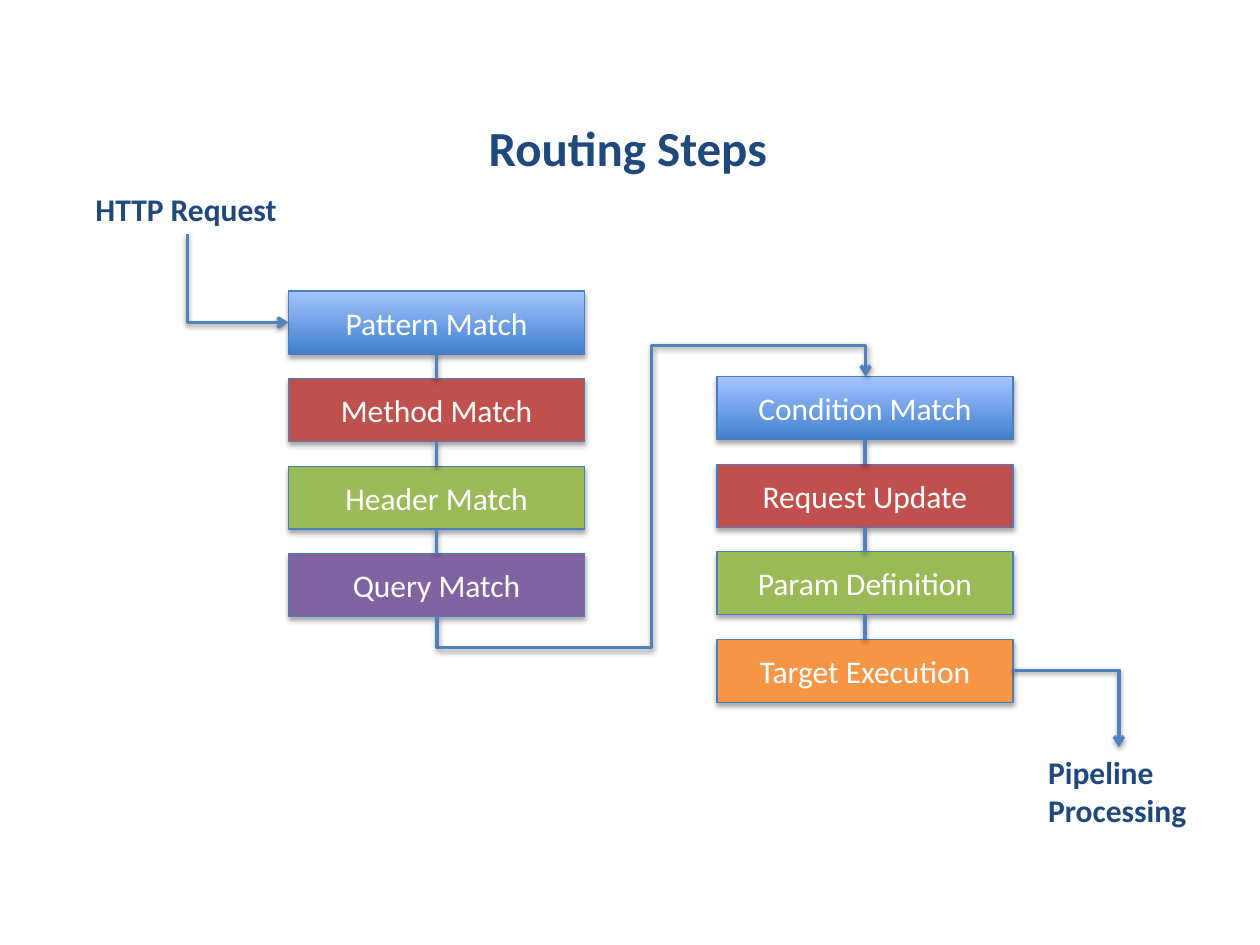
from dataclasses import dataclass

from lxml.etree import SubElement
from pptx import Presentation
from pptx.dml.color import RGBColor
from pptx.enum.shapes import MSO_CONNECTOR, MSO_SHAPE
from pptx.enum.text import MSO_ANCHOR, MSO_AUTO_SIZE, PP_ALIGN
from pptx.oxml.ns import qn
from pptx.util import Inches, Pt

COLORS = {
    "blue_dark": "3F80CE", "blue_light": "A4C4FF", "red": "C0504D",
    "green": "9BBB59", "purple": "8064A2", "orange": "F79646",
    "border": "4B7EBC", "connector": "4F81BD", "heading": "1F497D",
    "white": "FFFFFF", "shadow": "000000",
}
STEP_WIDTH, STEP_HEIGHT, STEP_PITCH = 2.35, 0.5, 0.695
TOP_SITE, BOTTOM_SITE = 0, 2


@dataclass
class Step:
    text: str
    color: str


@dataclass
class Column:
    left: float
    top: float
    steps: list[Step]


@dataclass
class Label:
    text: str
    left: float
    top: float
    width: float
    height: float
    size: int = 18


@dataclass
class Elbow:
    preset: str
    begin: tuple[float, float]
    end: tuple[float, float]
    rotation: int = 0
    adjustments: tuple[int, ...] = ()


COLUMNS = [
    Column(2.29, 2.31, [
        Step("Pattern Match", "gradient"), Step("Method Match", "red"),
        Step("Header Match", "green"), Step("Query Match", "purple"),
    ]),
    Column(5.69, 2.99, [
        Step("Condition Match", "gradient"), Step("Request Update", "red"),
        Step("Param Definition", "green"), Step("Target Execution", "orange"),
    ]),
]
LABELS = [
    Label("Routing Steps", 3.78, 0.88, 2.45, 0.57, 28),
    Label("HTTP Request", 0.66, 1.46, 1.66, 0.4),
    Label("Pipeline \nProcessing", 8.22, 5.93, 1.32, 0.71),
]
ELBOWS = [
    Elbow("bentConnector2", (2.24, 1.81), (1.54, 2.61), 270),
    Elbow("bentConnector5", (6.12, 5.64), (4.22, 2.24), 90, (-13100, 50000, 113100)),
    Elbow("bentConnector2", (8.04, 5.32), (8.88, 5.93)),
]


def rgb(name: str) -> RGBColor:
    return RGBColor.from_string(COLORS[name])


def add_shadow(properties, distance: float, opacity: int) -> None:
    effects = properties.find(qn("a:effectLst"))
    if effects is None:
        effects = SubElement(properties, qn("a:effectLst"))
    shadow = SubElement(effects, qn("a:outerShdw"), {
        "blurRad": str(Pt(3.1)), "dist": str(Pt(distance)),
        "dir": "5400000", "rotWithShape": "0",
    })
    color = SubElement(shadow, qn("a:srgbClr"), val=COLORS["shadow"])
    SubElement(color, qn("a:alpha"), val=str(opacity * 1000))


def write_text(paragraph, text: str, color: str, size: int, bold: bool) -> None:
    paragraph.text = text
    font_format = {"name": "Calibri", "size": Pt(size), "bold": bold}
    for run in paragraph.runs:
        for name, value in font_format.items():
            setattr(run.font, name, value)
        run.font.color.rgb = rgb(color)


def add_step(slide, step: Step, left: float, top: float):
    shape = slide.shapes.add_shape(
        MSO_SHAPE.RECTANGLE, Inches(left), Inches(top),
        Inches(STEP_WIDTH), Inches(STEP_HEIGHT))
    if step.color == "gradient":
        shape.fill.gradient()
        shape.fill.gradient_angle = 90
        for stop, (position, color) in zip(
                shape.fill.gradient_stops, [(0, "blue_dark"), (1, "blue_light")]):
            stop.position = position
            stop.color.rgb = rgb(color)
    else:
        shape.fill.solid()
        shape.fill.fore_color.rgb = rgb(step.color)
    shape.line.color.rgb = rgb("border")
    shape.line.width = Pt(0.75)
    shape.shadow.inherit = False
    add_shadow(shape._element.spPr, 1.8, 35)
    shape.text_frame.vertical_anchor = MSO_ANCHOR.MIDDLE
    paragraph = shape.text_frame.paragraphs[0]
    paragraph.alignment = PP_ALIGN.CENTER
    write_text(paragraph, step.text, "white", 18, False)
    return shape


def add_line(slide, begin: tuple[float, float], end: tuple[float, float]):
    connector = slide.shapes.add_connector(
        MSO_CONNECTOR.STRAIGHT, *(Inches(value) for value in begin + end))
    connector.line.color.rgb = rgb("connector")
    connector.line.width = Pt(2)
    add_shadow(connector._element.spPr, 1.6, 38)
    return connector


def add_elbow(slide, elbow: Elbow) -> None:
    properties = add_line(slide, elbow.begin, elbow.end)._element.spPr
    properties.find(qn("a:xfrm")).set("rot", str(elbow.rotation * 60000))
    geometry = properties.find(qn("a:prstGeom"))
    geometry.set("prst", elbow.preset)
    guides = geometry.find(qn("a:avLst"))
    for number, value in enumerate(elbow.adjustments, 1):
        SubElement(guides, qn("a:gd"), name=f"adj{number}", fmla=f"val {value}")
    SubElement(properties.find(qn("a:ln")), qn("a:tailEnd"), type="arrow")


def add_column(slide, column: Column) -> None:
    shapes = [add_step(slide, step, column.left, column.top + index * STEP_PITCH)
              for index, step in enumerate(column.steps)]
    for upper, lower in zip(shapes, shapes[1:]):
        connector = add_line(slide, (0, 0), (0, 0))
        connector.begin_connect(upper, BOTTOM_SITE)
        connector.end_connect(lower, TOP_SITE)


def add_label(slide, label: Label) -> None:
    box = slide.shapes.add_textbox(
        Inches(label.left), Inches(label.top), Inches(label.width), Inches(label.height))
    frame_format = {"word_wrap": False, "auto_size": MSO_AUTO_SIZE.SHAPE_TO_FIT_TEXT}
    for name, value in frame_format.items():
        setattr(box.text_frame, name, value)
    write_text(box.text_frame.paragraphs[0], label.text, "heading", label.size, True)


def main() -> None:
    presentation = Presentation()
    presentation.slide_width = Inches(10)
    presentation.slide_height = Inches(7.5)
    slide = presentation.slides.add_slide(presentation.slide_layouts[6])
    for column in COLUMNS:
        add_column(slide, column)
    for label in LABELS:
        add_label(slide, label)
    for elbow in ELBOWS:
        add_elbow(slide, elbow)
    presentation.save("out.pptx")


main()
